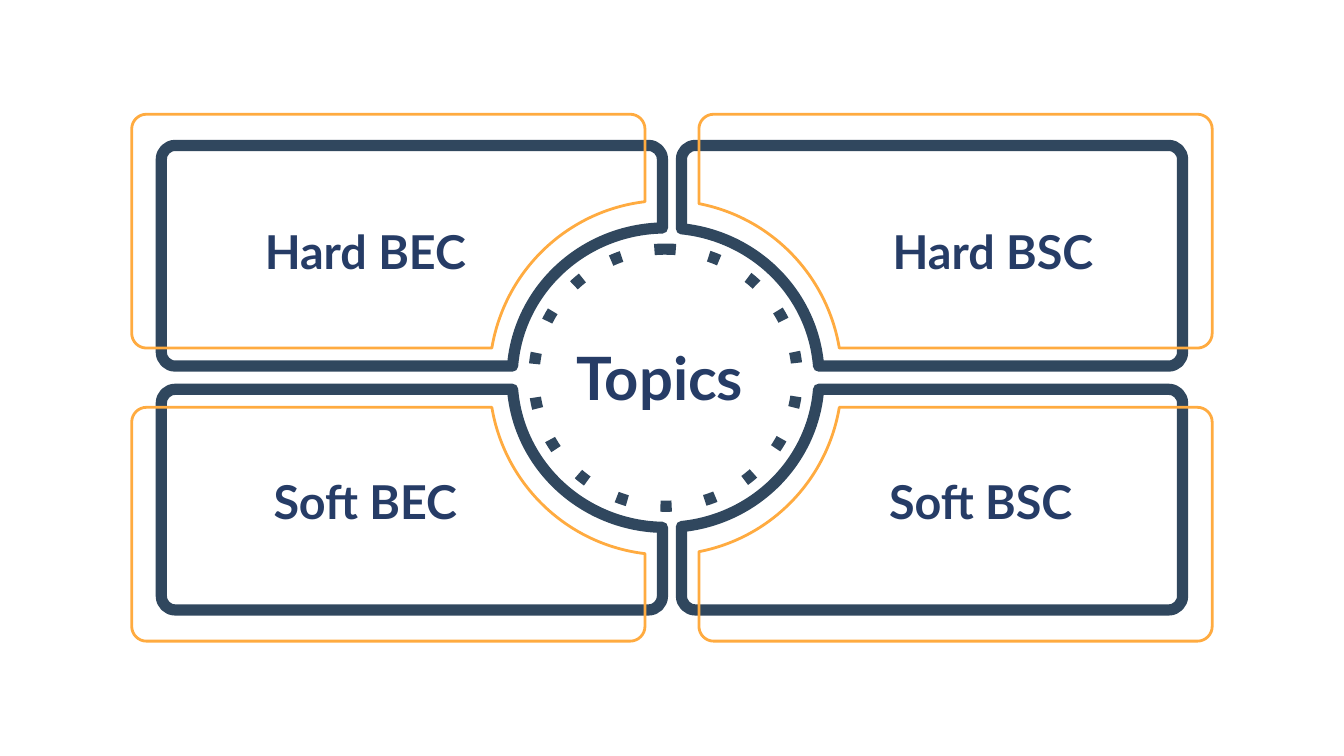
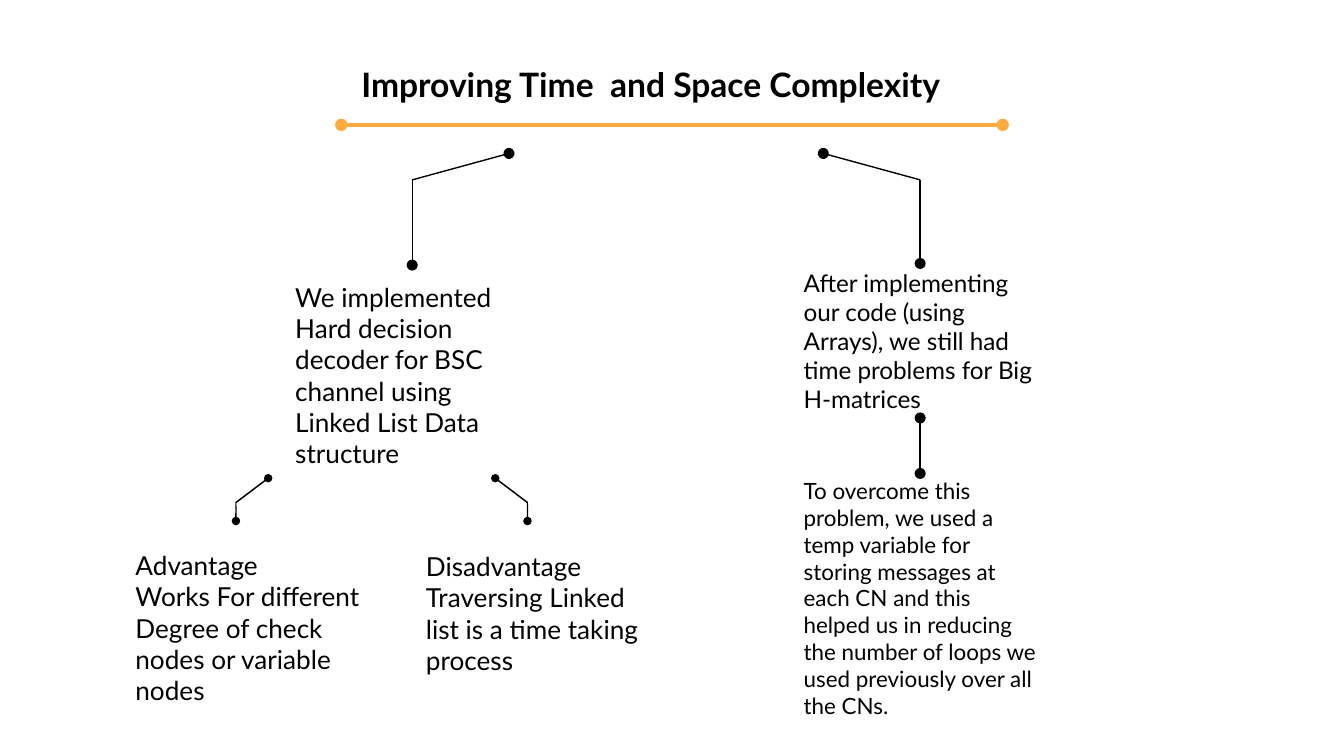
from dataclasses import dataclass
from itertools import pairwise, product
from math import acos, asin, cos, degrees, pi, radians, sin, tan

from lxml.etree import SubElement
from pptx import Presentation
from pptx.dml.color import RGBColor
from pptx.enum.dml import MSO_LINE
from pptx.enum.shapes import MSO_CONNECTOR
from pptx.enum.text import MSO_ANCHOR, MSO_AUTO_SIZE, PP_ALIGN
from pptx.oxml.ns import qn
from pptx.util import Cm, Pt

FONT = "Lato"
NAVY, SLATE, ORANGE, BLACK = "263C66", "30475E", "FFAB40", "000000"
MID_X, MID_Y, HUB_X = 12.7, 7.14, 12.58
TOP, BOTTOM = 0, 2
RING_STOPS = (0, 1, 85, 90, 95, 179, 180, 187, 265, 270, 275, 353, 360)

Point = tuple[float, float]
Segment = tuple[Point, ...]


@dataclass(frozen=True)
class Label:
    """Text with its box in centimetres and its size in points."""
    text: str
    left: float
    top: float
    width: float
    height: float
    size: float


@dataclass(frozen=True)
class PanelFrame:
    """Four notched panels, measured outward from the slide centre."""
    near_x: float
    near_y: float
    far_x: float
    far_y: float
    corner: float
    notch_x: float
    notch_y: float
    color: str
    weight: float


@dataclass(frozen=True)
class Link:
    """A line with optional round ends."""
    start: Point
    end: Point
    color: str = BLACK
    weight: float = 0.75
    head: bool = False
    tail: bool = False


FRAMES = [
    PanelFrame(0.18, 0.22, 9.65, 4.39, 0.26, 2.9, 2.83, SLATE, 6),
    PanelFrame(0.51, 0.56, 10.21, 4.98, 0.28, 3.33, 3.35, ORANGE, 1.5),
]

TOPICS = [
    Label("Topics", 10.03, 6.2, 4.88, 1.88, 32),
    Label("Hard BEC", 4.24, 3.96, 5.33, 1.57, 25),
    Label("Soft BSC", 15.87, 8.69, 5.33, 1.57, 25),
    Label("Hard BSC", 15.87, 3.96, 5.79, 1.57, 25),
    Label("Soft BEC", 3.78, 8.69, 6.25, 1.57, 25),
]

TITLE = Label("Improving Time  and Space Complexity", 6.58, 0.57, 12.19, 2.03, 18)
LINKED_LIST_NOTES = [
    Label("We implemented Hard decision decoder for BSC channel using "
          "Linked List Data structure", 5.33, 5.21, 4.9, 3.76, 14),
    Label("Disadvantage Traversing Linked list is a time taking process",
          7.8, 10.13, 4.9, 2.92, 14),
    Label("Advantage\nWorks For different Degree of check nodes or variable nodes",
          2.31, 9.92, 4.9, 3.89, 14),
]
SOLUTION = Label("To overcome this problem, we used a temp variable for storing "
                 "messages at each CN and this helped us in reducing the number of "
                 "loops we used previously over all the CNs.",
                 14.94, 8.6, 4.9, 5.41, 12)
PROBLEM = Label("After implementing our code (using Arrays), we still had time "
                "problems for Big H-matrices", 14.94, 4.98, 4.9, 2.92, 13)

TITLE_RULE = Link((6.45, 2.36), (18.95, 2.36), ORANGE, 2.25, True, True)
LINKED_LIST_BRANCH = [
    Link((9.62, 2.9), (7.79, 3.4), head=True),
    Link((7.79, 3.4), (7.79, 5.01), tail=True),
]
ARRAY_BRANCH = Link((15.56, 2.9), (17.39, 3.4), head=True)
PROBLEM_DROP = Link((17.39, 3.4), (17.39, 4.98), tail=True)
SOLUTION_DROP = Link((17.39, 7.9), (17.39, 8.95), head=True, tail=True)


def rgb(value: str) -> RGBColor:
    """Turn a hex string into a colour."""
    return RGBColor.from_string(value)


def add_label(slide, label: Label, *, color: str = BLACK, bold: bool = False,
              align=PP_ALIGN.LEFT, anchor=MSO_ANCHOR.MIDDLE,
              fit=MSO_AUTO_SIZE.NONE):
    """Add a text box, one paragraph per line of its text."""
    box = slide.shapes.add_textbox(Cm(label.left), Cm(label.top),
                                   Cm(label.width), Cm(label.height))
    frame = box.text_frame
    frame.word_wrap = True
    frame.auto_size = fit
    frame.vertical_anchor = anchor
    frame.margin_top = frame.margin_bottom = Cm(0.25)
    frame.text = label.text
    for paragraph in frame.paragraphs:
        paragraph.alignment = align
        for run in paragraph.runs:
            run.font.name = FONT
            run.font.size = Pt(label.size)
            run.font.bold = bold
            run.font.color.rgb = rgb(color)
    return box


def arc(center: Point, radius_x: float, radius_y: float,
        *stops: float) -> list[Segment]:
    """Return the arc's first point, then one Bézier curve per pair of degrees."""
    def at(angle: float, pull: float = 0) -> Point:
        """Return a point on the ellipse, pulled along its tangent."""
        return (center[0] + radius_x * (cos(angle) - pull * sin(angle)),
                center[1] + radius_y * (sin(angle) + pull * cos(angle)))

    angles = [radians(stop) for stop in stops]
    segments: list[Segment] = [(at(angles[0]),)]
    for start, end in pairwise(angles):
        pull = 4 / 3 * tan((end - start) / 4)
        segments.append((at(start, pull), at(end, -pull), at(end)))
    return segments


def add_outline(shapes, segments: list[Segment]):
    """Add a closed freeform of lines (one point) and curves (three points)."""
    ends = [(Cm(x), Cm(y)) for x, y in (segment[-1] for segment in segments)]
    left, top = (min(values) for values in zip(*ends))
    builder = shapes.build_freeform(*ends[0])
    builder.add_line_segments(ends[1:], close=True)
    outline = builder.convert_to_shape()
    outline.shadow.inherit = False
    lines = list(outline._element.iter(qn("a:lnTo")))
    for line, segment in zip(lines, segments[1:]):
        if len(segment) == 3:
            curve = SubElement(line.getparent(), qn("a:cubicBezTo"))
            for x, y in segment:
                SubElement(curve, qn("a:pt"), x=str(Cm(x) - left), y=str(Cm(y) - top))
            line.getparent().replace(line, curve)
    return outline


def stroke(outline, color: str, weight: float, dash: str = "solid") -> None:
    """Give an outline an unfilled, round-joined line."""
    outline.fill.background()
    outline.line.color.rgb = rgb(color)
    outline.line.width = Pt(weight)
    outline.line.dash_style = MSO_LINE.SOLID
    properties = outline.line._get_or_add_ln()
    properties.find(qn("a:prstDash")).set("val", dash)
    SubElement(properties, qn("a:round"))


def fill(outline, color: str) -> None:
    """Give an outline a plain fill without a line."""
    outline.fill.solid()
    outline.fill.fore_color.rgb = rgb(color)
    outline.line.fill.background()


def mirror(segments: list[Segment], origin: Point, side: int,
           row: int = 1) -> list[Segment]:
    """Move segments to an origin, flipped by the signs of side and row."""
    return [tuple((origin[0] + side * x, origin[1] + row * y) for x, y in segment)
            for segment in segments]


def panel_segments(frame: PanelFrame, side: int) -> list[Segment]:
    """Return one panel: three round corners and a notch around the hub."""
    hub = side * (HUB_X - MID_X)
    r = frame.corner
    right, low = frame.far_x - r, frame.far_y - r
    return [
        *arc((right, low), r, r, 90, 0),
        *arc((right, frame.near_y + r), r, r, 0, -90),
        *arc((hub, 0), frame.notch_x, frame.notch_y,
             degrees(asin(frame.near_y / frame.notch_y)),
             degrees(acos((frame.near_x - hub) / frame.notch_x))),
        *arc((frame.near_x + r, low), r, r, 180, 90),
    ]


def add_panels(slide, frame: PanelFrame):
    """Draw the four mirrored panels of a frame as one group."""
    group = slide.shapes.add_group_shape()
    for side, row in product((-1, 1), (-1, 1)):
        segments = mirror(panel_segments(frame, side), (MID_X, MID_Y), side, row)
        stroke(add_outline(group.shapes, segments), frame.color, frame.weight)
    return group


def add_link(slide, link: Link):
    """Draw a straight connector with its round ends."""
    connector = slide.shapes.add_connector(
        MSO_CONNECTOR.STRAIGHT, *(Cm(v) for v in (*link.start, *link.end)))
    connector.line.color.rgb = rgb(link.color)
    connector.line.width = Pt(link.weight)
    properties = connector.line._get_or_add_ln()
    for tag, shown in (("a:headEnd", link.head), ("a:tailEnd", link.tail)):
        if shown:
            SubElement(properties, qn(tag), type="oval")
    SubElement(connector._element.spPr, qn("a:effectLst"))
    return connector


def add_fork(slide, origin: Point, side: int) -> None:
    """Draw a small bent branch with a dot at each end."""
    dot, half, run, bend, drop = 0.08, 0.01, 0.61, 0.46, 0.81
    segments = [
        *arc((0, 0), dot, dot, 47, 90, 180, 270, 360, 387),
        ((run + half, bend - half),),
        *arc((run, drop), dot, dot, 280, 360, 450, 540, 620),
        ((run - half, bend + half),),
    ]
    fill(add_outline(slide.shapes, mirror(segments, origin, side)), BLACK)


def build_topics(slide) -> None:
    """Draw the four topics around their hub."""
    for topic in TOPICS:
        add_label(slide, topic, color=NAVY, bold=True, align=PP_ALIGN.CENTER,
                  anchor=MSO_ANCHOR.TOP, fit=MSO_AUTO_SIZE.SHAPE_TO_FIT_TEXT)
    inner, outer = FRAMES
    panels = add_panels(slide, inner)
    ring = arc((HUB_X, MID_Y), 2.49, 2.43, *(-90 - stop for stop in RING_STOPS))
    stroke(add_outline(panels.shapes, ring), SLATE, 6, "dot")
    add_panels(slide, outer)


def build_complexity(slide) -> None:
    """Draw the two branches on time and space complexity."""
    add_label(slide, TITLE, bold=True)
    for note in LINKED_LIST_NOTES:
        add_label(slide, note)
    add_label(slide, SOLUTION)
    problem = add_label(slide, PROBLEM)
    add_fork(slide, (9.36, 9.04), 1)
    speck = arc((16.27, 5.93), 0.01, 0.01, 0, 90, 180, 270, 360)
    fill(add_outline(slide.shapes, speck), SLATE)
    add_fork(slide, (5.07, 9.04), -1)
    for link in (TITLE_RULE, *LINKED_LIST_BRANCH, ARRAY_BRANCH):
        add_link(slide, link)
    add_link(slide, PROBLEM_DROP).end_connect(problem, TOP)
    add_link(slide, SOLUTION_DROP).begin_connect(problem, BOTTOM)


def main() -> None:
    """Build and save the presentation."""
    deck = Presentation()
    deck.slide_width, deck.slide_height = Cm(25.4), Cm(14.29)
    blank = deck.slide_layouts[6]
    for build in (build_topics, build_complexity):
        build(deck.slides.add_slide(blank))
    deck.save("out.pptx")


if __name__ == "__main__":
    main()
